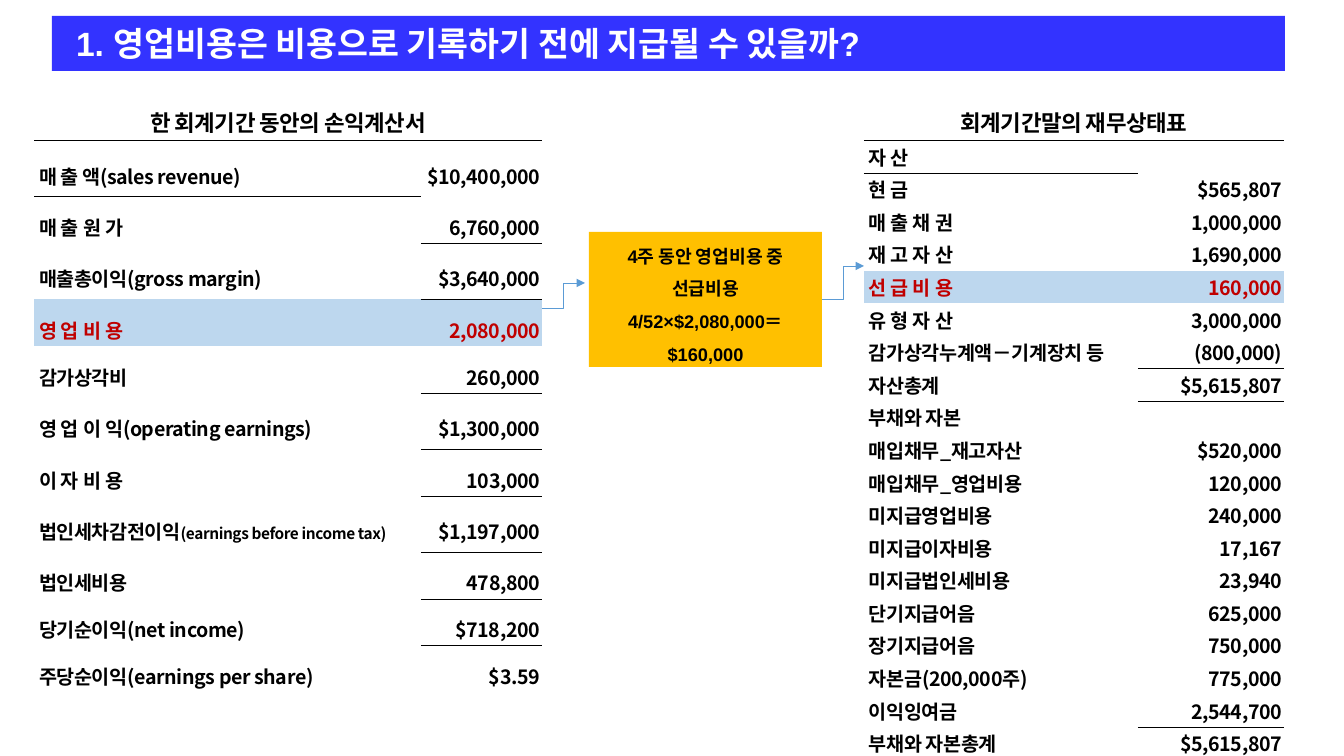
"""Build a slide that links an income statement to a balance sheet through prepaid expense."""
import dataclasses

import lxml.etree
import pptx
import pptx.dml.color
import pptx.enum.dml
import pptx.enum.shapes
import pptx.enum.text
import pptx.oxml.ns
import pptx.util

SCALE = 914400 / 100.8
SANS = "Noto Sans CJK KR"
BLACK, WHITE, RED = "000000", "FFFFFF", "C00000"
BLUE, BAND, GOLD, ARROW = "3333FF", "BDD7EE", "FFC000", "5B9BD5"
ALIGN = pptx.enum.text.PP_ALIGN
MIDDLE = pptx.enum.text.MSO_ANCHOR.MIDDLE
qn = pptx.oxml.ns.qn


@dataclasses.dataclass(frozen=True)
class Row:
    label: str
    value: str = ""
    wide: str = ""
    small: str = ""
    rule: bool = False
    fill: str = ""
    color: str = BLACK
    high: int = 0


@dataclasses.dataclass(frozen=True)
class Sheet:
    title: str
    left: int
    cols: tuple[int, int]
    head: int
    high: int
    space: float
    rows: tuple[Row, ...]


@dataclasses.dataclass(frozen=True)
class Link:
    start: tuple[int, int]
    end: tuple[int, int]


INCOME = Sheet("한 회계기간 동안의 손익계산서", 34, (387, 121), 40, 40, 1.5, (
    Row("매 출 액(sales revenue)", "$10,400,000", fill=WHITE, high=56),
    Row("가", "6,760,000", wide="매출원", rule=True, fill=WHITE),
    Row("매출총이익(gross margin)", "$3,640,000", high=56),
    Row("용", "2,080,000", wide="영업비", fill=BAND, color=RED),
    Row("감가상각비", "260,000", rule=True),
    Row("익(operating earnings)", "$1,300,000", wide="영업이", high=56),
    Row("용", "103,000", wide="이자비", rule=True),
    Row("법인세차감전이익", "$1,197,000", small="(earnings before income tax)", high=56),
    Row("법인세비용", "478,800", rule=True),
    Row("당기순이익(net income)", "$718,200"),
    Row("주당순이익(earnings per share)", "$3.59"),
))
BALANCE = Sheet("회계기간말의 재무상태표", 864, (274, 146), 39, 30, 1.0, (
    Row("자 산"),
    Row("현 금", "$565,807"),
    Row("권", "1,000,000", wide="매출채", fill=WHITE),
    Row("산", "1,690,000", wide="재고자", fill=WHITE),
    Row("용", "160,000", wide="선급비", fill=BAND, color=RED),
    Row("산", "3,000,000", wide="유형자"),
    Row("감가상각누계액－기계장치 등", "(800,000)", rule=True),
    Row("자산총계", "$5,615,807"),
    Row("부채와 자본"),
    Row("매입채무_재고자산", "$520,000", fill=WHITE),
    Row("매입채무_영업비용", "120,000"),
    Row("미지급영업비용", "240,000"),
    Row("미지급이자비용", "17,167"),
    Row("미지급법인세비용", "23,940"),
    Row("단기지급어음", "625,000"),
    Row("장기지급어음", "750,000"),
    Row("자본금(200,000주)", "775,000"),
    Row("이익잉여금", "2,544,700", rule=True),
    Row("부채와 자본총계", "$5,615,807"),
))
LINKS = (Link((542, 308), (585, 283)), Link((822, 299), (864, 266)))


def px(size: int) -> int:
    return round(size * SCALE)


def rgb(color: str) -> pptx.dml.color.RGBColor:
    return pptx.dml.color.RGBColor.from_string(color)


def add_run(para, text: str, size: int, color: str, font: str = SANS, space: int = 0) -> None:
    run = para.add_run()
    run.text = text
    run.font.size = pptx.util.Pt(size)
    run.font.bold = True
    run.font.name = font
    run.font.color.rgb = rgb(color)
    props = run.font._element
    if space:
        props.set("spc", str(space))
    lxml.etree.SubElement(props, qn("a:ea"), typeface=SANS)


def add_edge(cell, side: str) -> None:
    props = cell._tc.get_or_add_tcPr()
    edge = lxml.etree.SubElement(props, qn(f"a:ln{side}"), w="3556")
    fill = lxml.etree.SubElement(edge, qn("a:solidFill"))
    lxml.etree.SubElement(fill, qn("a:srgbClr"), val=BLACK)


def style_cell(cell, sides: str, fill: str, align, space: float):
    cell.margin_left = cell.margin_right = cell.margin_top = cell.margin_bottom = px(2)
    cell.vertical_anchor = MIDDLE
    for side in sides:
        add_edge(cell, side)
    if fill:
        cell.fill.solid()
        cell.fill.fore_color.rgb = rgb(fill)
    else:
        cell.fill.background()
    para = cell.text_frame.paragraphs[0]
    para.alignment = align
    para.line_spacing = space
    return para


def draw_sheet(slide, sheet: Sheet) -> None:
    highs = [sheet.head] + [row.high or sheet.high for row in sheet.rows]
    frame = slide.shapes.add_table(len(highs), 2, px(sheet.left), px(88),
                                   px(sum(sheet.cols)), px(sum(highs)))
    table = frame.table
    table.first_row = table.horz_banding = False
    style = table._tbl.tblPr.find(qn("a:tableStyleId"))
    style.text = "{2D5ABB26-0587-4C30-8999-92F81FD0307C}"
    for col, width in zip(table.columns, sheet.cols):
        col.width = px(width)
    for line, high in zip(table.rows, highs):
        line.height = px(high)
    head = table.cell(0, 0)
    head.merge(table.cell(0, 1))
    add_run(style_cell(head, "B", "", ALIGN.CENTER, 1.5), sheet.title, 16, BLACK, space=-30)
    ruled = False
    for num, row in enumerate(sheet.rows, 1):
        para = style_cell(table.cell(num, 0), "T" if num == 1 else "", row.fill,
                          ALIGN.JUSTIFY, sheet.space)
        para._p.get_or_add_pPr().set("marL", str(px(3)))
        for text, size, space in ((row.wide, 14, 280), (row.label, 14, -30), (row.small, 11, -30)):
            if text:
                add_run(para, text, size, row.color, space=space)
        sides = ("T" if ruled else "") + ("B" if row.rule else "")
        para = style_cell(table.cell(num, 1), sides, row.fill, ALIGN.RIGHT, sheet.space)
        if row.value:
            add_run(para, row.value, 14, row.color, space=-30)
        else:
            lxml.etree.SubElement(para._p, qn("a:endParaRPr"), sz="1400")
        ruled = row.rule


def draw_title(slide) -> None:
    title = slide.shapes.title
    title.left, title.top, title.width, title.height = map(px, (52, 16, 1233, 55))
    title.fill.solid()
    title.fill.fore_color.rgb = rgb(BLUE)
    frame = title.text_frame
    frame.auto_size = pptx.enum.text.MSO_AUTO_SIZE.NONE
    frame.vertical_anchor = MIDDLE
    para = frame.paragraphs[0]
    para.alignment = ALIGN.JUSTIFY
    para._p.get_or_add_pPr().set("indent", str(px(14)))
    add_run(para, "1. 영업비용은 비용으로 기록하기 전에 지급될 수 있을까?", 24, WHITE, "Arial")


def draw_note(slide) -> None:
    note = slide.shapes.add_shape(pptx.enum.shapes.MSO_SHAPE.RECTANGLE,
                                  *map(px, (589, 232, 233, 135)))
    note.shadow.inherit = False
    note.fill.solid()
    note.fill.fore_color.rgb = rgb(GOLD)
    note.line.fill.background()
    frame = note.text_frame
    frame.word_wrap = True
    frame.vertical_anchor = MIDDLE
    for num, text in enumerate(("4주 동안 영업비용 중 선급비용", "4/52×$2,080,000＝ $160,000")):
        para = frame.add_paragraph() if num else frame.paragraphs[0]
        para.alignment = ALIGN.CENTER
        para.line_spacing = 1.5
        add_run(para, text, 13, BLACK, "Arial")


def draw_link(slide, link: Link) -> None:
    line = slide.shapes.add_connector(pptx.enum.shapes.MSO_CONNECTOR.ELBOW,
                                      *map(px, link.start + link.end))
    line.line.color.rgb = rgb(ARROW)
    line.line.width = pptx.util.Pt(0.5)
    lxml.etree.SubElement(line.line._get_or_add_ln(), qn("a:tailEnd"), type="triangle")
    lxml.etree.SubElement(line._element.spPr, qn("a:effectLst"))


def main() -> None:
    deck = pptx.Presentation()
    deck.slide_width, deck.slide_height = px(1344), px(756)
    slide = deck.slides.add_slide(deck.slide_layouts[5])
    draw_title(slide)
    for sheet in (INCOME, BALANCE):
        draw_sheet(slide, sheet)
    draw_note(slide)
    for link in LINKS:
        draw_link(slide, link)
    deck.save("out.pptx")


if __name__ == "__main__":
    main()
